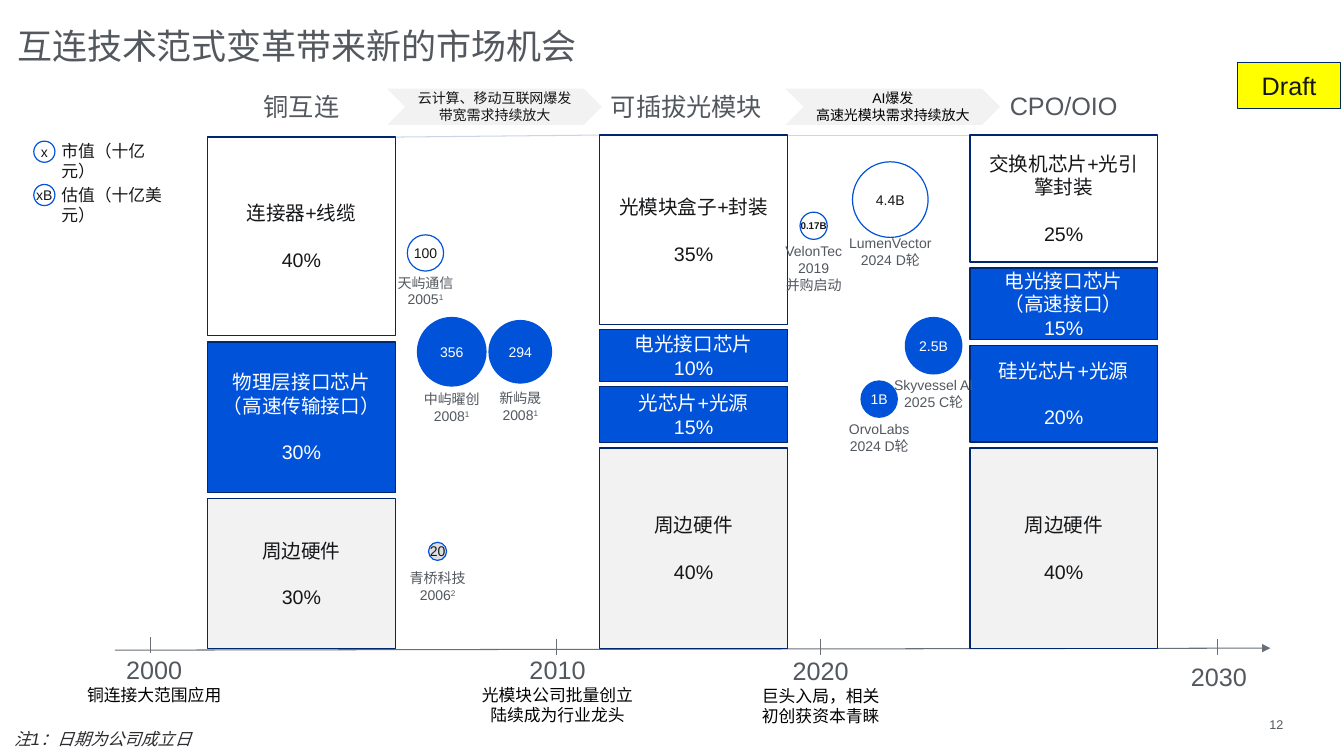
from lxml import etree
from pptx import Presentation
from pptx.dml.color import RGBColor
from pptx.enum.shapes import MSO_CONNECTOR, MSO_SHAPE
from pptx.enum.text import MSO_ANCHOR, PP_ALIGN
from pptx.oxml.ns import qn
from pptx.util import Inches, Pt

RECT, OVAL, CHEVRON = MSO_SHAPE.RECTANGLE, MSO_SHAPE.OVAL, MSO_SHAPE.CHEVRON
STRAIGHT = MSO_CONNECTOR.STRAIGHT
LEFT, CENTER, RIGHT = PP_ALIGN.LEFT, PP_ALIGN.CENTER, PP_ALIGN.RIGHT
TOP, MIDDLE, BOTTOM = MSO_ANCHOR.TOP, MSO_ANCHOR.MIDDLE, MSO_ANCHOR.BOTTOM

COLORS = {
    "blue": "0052D9", "navy": "012670", "white": "FFFFFF", "pale": "F2F2F2",
    "silver": "DCDEE0", "ink": "151618", "grey": "53585F", "axis": "686F76",
    "guide": "CCD4EA", "note": "2A2C2F", "black": "000000", "yellow": "FFFF00",
}
CELL = 0.1  # inches per grid column and row
BASELINE = 64.35
BAR_WIDTH = 18.6

# left, top, bars from top to bottom: height, fill, lines
STACKS = [
    (20.6, 13.6, [
        (19.7, "white", ["连接器+线缆", "40%"]),
        (14.9, "blue", ["物理层接口芯片", "（高速传输接口）", "30%"]),
        (14.9, "pale", ["周边硬件", "30%"])]),
    (59.5, 13.4, [
        (18.8, "white", ["光模块盒子+封装", "35%"]),
        (5.1, "blue", ["电光接口芯片", "10%"]),
        (5.6, "blue", ["光芯片+光源", "15%"]),
        (19.9, "pale", ["周边硬件", "40%"])]),
    (96.2, 13.4, [
        (12.6, "white", ["交换机芯片+光引擎封装", "25%"]),
        (7.1, "blue", ["电光接口芯片", "（高速接口）", "15%"]),
        (9.6, "blue", ["硅光芯片+光源", "20%"]),
        (19.9, "pale", ["周边硬件", "40%"])]),
]
# centre x, centre y, diameter, fill, value, label top, label (^ raises what follows)
COMPANIES = [
    (42.2, 25.1, 3.6, "white", "100", 26.7, ["天屿通信", "2005^1"]),
    (44.8, 34.9, 6.8, "blue", "356", 38.3, ["中屿曜创", "2008^1"]),
    (51.6, 34.9, 6.2, "blue", "294", 38.2, ["新屿晟", "2008^1"]),
    (43.4, 54.7, 1.8, "silver", "20", 56, ["青桥科技", "2006^2"]),
    (80.7, 22.4, 2.7, "white", "0.17B", 23.6, ["VelonTec", "2019", "并购启动"]),
    (88.3, 19.8, 7.5, "white", "4.4B", 22.8, ["LumenVector", "2024 D轮"]),
    (92.6, 34.3, 5.6, "blue", "2.5B", 36.9, ["Skyvessel AI", "2025 C轮"]),
    (87.2, 39.6, 3.6, "blue", "1B", 41.2, ["OrvoLabs", "2024 D轮"]),
]
# tick x, tick top, text centre, text top, text width, year, events
MILESTONES = [
    (14.9, 63.2, 15.3, 64.4, 15.6, "2000", ["铜连接大范围应用"]),
    (55.2, 63.4, 55.3, 64.4, 18.3, "2010", ["光模块公司批量创立", "陆续成为行业龙头"]),
    (81.4, 63.4, 81.4, 64.5, 14.8, "2020", ["巨头入局，相关初创获资本青睐"]),
    (120.8, 63.4, 120.9, 65.1, 14.8, "2030", []),
]
# centre, top, width
ERAS = [(29.9, 8.6, 24.9, "铜互连"), (68.1, 8.6, 35.6, "可插拔光模块"),
        (105.5, 8.5, 26.7, "CPO/OIO")]
DRIVERS = [(38.4, "ink", ["云计算、移动互联网爆发", "带宽需求持续放大"]),
           (77.9, "black", ["AI爆发", "高速光模块需求持续放大"])]
LEGEND = [(14, "x", 12.5, "市值（十亿元）"), (18.3, "xB", 14.6, "估值（十亿美元）")]


def rgb(name):
    return RGBColor.from_string(COLORS[name])


def cells(*values):
    return [Inches(v * CELL) for v in values]


class Deck:
    """Holds the style and the current slide; lengths are grid cells."""
    font = "Arial"
    outline = 0.85

    def __init__(self):
        self.prs = Presentation()
        self.prs.slide_width, self.prs.slide_height = Inches(13.33), Inches(7.5)
        self.s = self.prs.slides.add_slide(self.prs.slide_layouts[5])

    def set_text(self, sp, lines, size, color, align=CENTER, anchor=TOP,
                 inset=None, wrap=True, **extra):
        """Each line is a string, or a string with its own paragraph formats."""
        tf = sp.text_frame
        frame = {"word_wrap": wrap, "vertical_anchor": anchor}
        if inset is not None:
            frame.update({f"margin_{side}": Inches(inset)
                          for side in ("left", "right", "top", "bottom")})
        for key, value in frame.items():
            setattr(tf, key, value)
        for i, line in enumerate(lines):
            text, own = (line, {}) if isinstance(line, str) else line
            p = tf.paragraphs[0] if i == 0 else tf.add_paragraph()
            p.alignment = align
            if "before" in own:
                p.space_before = Pt(own["before"])
            style = {"name": self.font, "size": Pt(own.get("size", size)), **extra}
            for part, piece in enumerate(text.split("^")):
                r = p.add_run()
                r.text = piece
                for key, value in style.items():
                    setattr(r.font, key, value)
                r.font.color.rgb = rgb(own.get("color", color))
                if part:
                    r._r.get_or_add_rPr().set("baseline", "30000")

    def title(self, box, text):
        sp = self.s.shapes.title
        sp.left, sp.top, sp.width, sp.height = cells(*box)
        self.set_text(sp, [text], 25, "grey", LEFT, MIDDLE, inset=0)

    def text(self, box, lines, size, color, **formats):
        sp = self.s.shapes.add_textbox(*cells(*box))
        self.set_text(sp, lines, size, color, **formats)

    def shape(self, kind, box, fill, line, lines, size, color, **formats):
        sp = self.s.shapes.add_shape(kind, *cells(*box))
        sp.shadow.inherit = False
        sp.fill.solid()
        sp.fill.fore_color.rgb = rgb(fill)
        if line:
            sp.line.color.rgb = rgb(line)
            sp.line.width = Pt(self.outline)
        else:
            sp.line.fill.background()
        self.set_text(sp, lines, size, color, anchor=MIDDLE, **formats)

    def bubble(self, x, y, d, fill, value, size=10, **formats):
        color = "white" if fill == "blue" else "ink"
        self.shape(OVAL, (x - d / 2, y - d / 2, d, d), fill, "blue", [value],
                   size, color, inset=0, wrap=False, **formats)

    def line(self, ends, color, arrow=False):
        c = self.s.shapes.add_connector(STRAIGHT, *cells(*ends))
        c.line.color.rgb = rgb(color)
        c.line.width = Pt(0.75)
        if arrow:
            etree.SubElement(c.line._get_or_add_ln(), qn("a:tailEnd"), type="triangle")
        etree.SubElement(c._element.spPr, qn("a:effectLst"))

    def stack(self, left, top, bars):
        """Bars from top to the baseline, with equal gaps between them."""
        gap = (BASELINE - top - sum(bar[0] for bar in bars)) / (len(bars) - 1)
        for height, fill, lines in bars:
            color = "white" if fill == "blue" else "ink"
            share = (lines[-1], {"before": 16.5 if height > 9 else 0})
            self.shape(RECT, (left, top, BAR_WIDTH, height), fill, "navy",
                       [*lines[:-1], share], 14, color)
            top += height + gap


def main():
    d = Deck()
    d.title((1.7, 0.5, 105.8, 8), "互连技术范式变革带来新的市场机会")
    for (left, top, _), (after, level, _) in zip(STACKS, STACKS[1:]):
        d.line((left + BAR_WIDTH, top, after, level), "guide")
    d.line((11.4, 64.5, 126, 64.3), "axis", arrow=True)
    for stack in STACKS:
        d.stack(*stack)
    for x, top, width, era in ERAS:
        d.text((x - width / 2, top, width, 4), [era], 18, "grey")
    for left, color, lines in DRIVERS:
        d.shape(CHEVRON, (left, 8.8, 21.3, 3.6), "pale", None, lines, 10, color)
    for tick, tick_top, x, top, width, year, events in MILESTONES:
        d.line((tick, tick_top, tick, tick_top + 1.6), "axis")
        lines = [year] + [(event, {"size": 12, "color": "black"}) for event in events]
        d.text((x - width / 2, top, width, 4 + 2 * len(events)), lines, 18, "grey")
    for x, y, size, fill, value, label_top, label in COMPANIES:
        small = {"size": 7, "bold": True} if len(value) > 4 else {}
        d.text((x - 8.1, label_top, 16.2, 1 + 1.7 * len(label)), label, 10, "grey")
        d.bubble(x, y, size, fill, value, **small)
    for top, mark, width, meaning in LEGEND:
        d.bubble(4.4, top + 1.05, 2.1, "white", mark)
        d.text((5.1, top - 0.5, width, 3), [meaning], 12, "ink", align=LEFT)
    d.shape(RECT, (122.7, 6.2, 10.3, 4.6), "yellow", "navy", ["Draft"], 18, "ink")
    d.text((1.4, 72.3, 80.9, 3), ["注1：日期为公司成立日"], 12, "note",
           align=LEFT, inset=0, italic=True)
    d.text((123.7, 71.1, 3.6, 1.5), ["12"], 9, "grey",
           align=RIGHT, anchor=BOTTOM, inset=0)
    d.prs.save("out.pptx")


if __name__ == "__main__":
    main()
